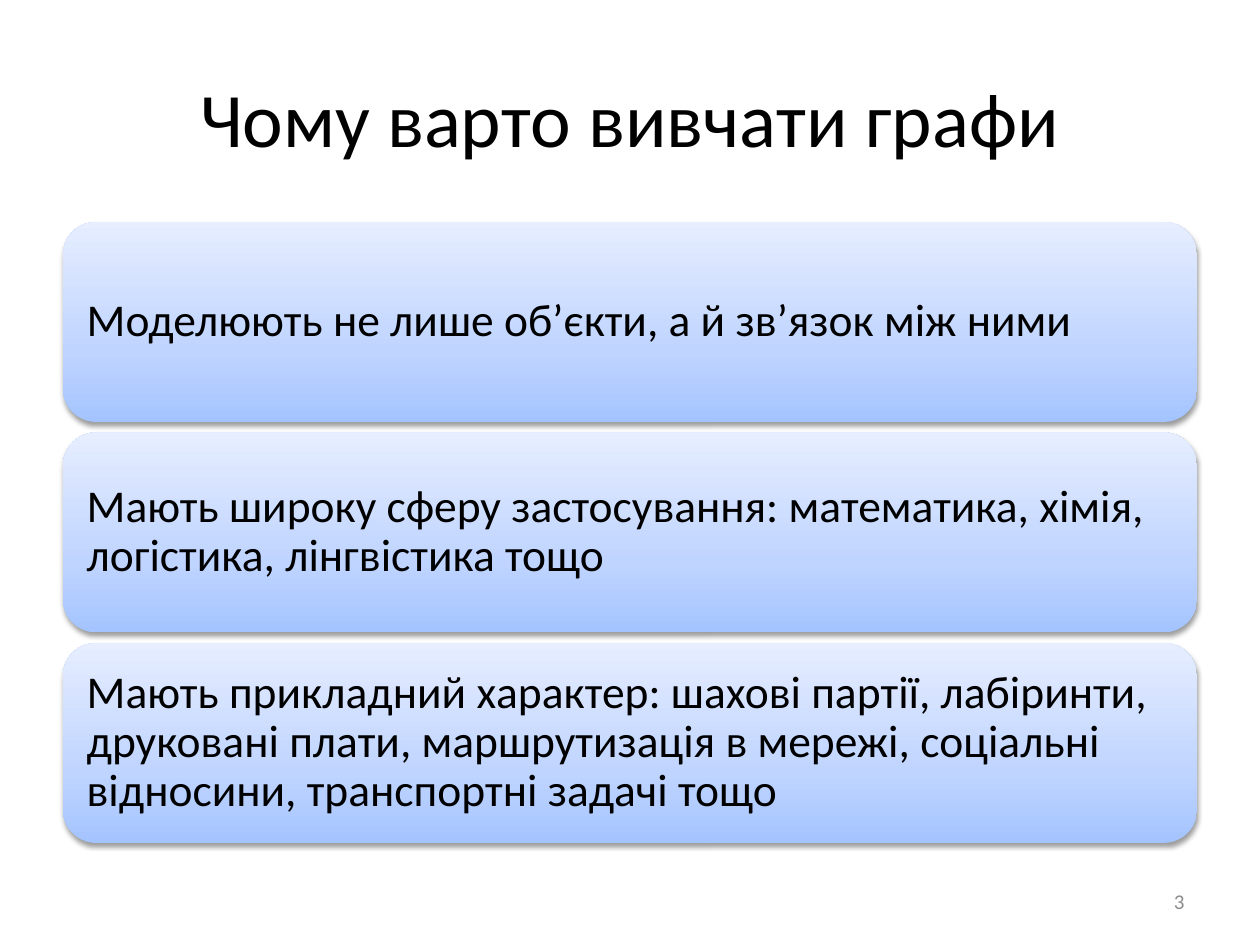
import dataclasses

import lxml.etree
import pptx
import pptx.dml.color
import pptx.enum.shapes
import pptx.enum.text
import pptx.oxml.ns
import pptx.util

ALIGN = pptx.enum.text.PP_ALIGN
EMU_PER_PX = 914400 / 126


@dataclasses.dataclass(frozen=True)
class Theme:
    font: str = "Calibri"
    text: str = "000000"
    muted: str = "8C8C8C"
    shadow: str = "000000"
    card_stops: tuple = ((0, "A4C4FF"), (35, "BFD4FF"), (100, "E6EEFF"))
    title_size: int = 44
    card_size: int = 26
    number_size: int = 12


THEME = Theme()
REASONS = (
    "Моделюють не лише об’єкти, а й зв’язок між ними",
    "Мають широку сферу застосування: математика, хімія, логістика, лінгвістика тощо",
    "Мають прикладний характер: шахові партії, лабіринти, друковані плати, "
    "маршрутизація в мережі, соціальні відносини, транспортні задачі тощо",
)


def px(n):
    return pptx.util.Emu(round(n * EMU_PER_PX))


def add_xml(parent, tag, **attrs):
    return lxml.etree.SubElement(parent, pptx.oxml.ns.qn(tag), attrs)


def write(sp, text, size, color, align):
    tf = sp.text_frame
    tf.word_wrap = True
    tf.vertical_anchor = pptx.enum.text.MSO_ANCHOR.MIDDLE
    p = tf.paragraphs[0]
    p.alignment = align
    r = p.add_run()
    r.text = text
    r.font.name = THEME.font
    r.font.size = pptx.util.Pt(size)
    r.font.color.rgb = pptx.dml.color.RGBColor.from_string(color)


def add_label(s, box, text, size, color, align):
    sp = s.shapes.add_textbox(*map(px, box))
    write(sp, text, size, color, align)


def fill_gradient(sp, stops):
    sp.fill.gradient()
    sp.fill.gradient_angle = 90
    gs_list = sp.element.spPr.find(".//" + pptx.oxml.ns.qn("a:gsLst"))
    for gs in list(gs_list):
        gs_list.remove(gs)
    for pos, color in stops:
        gs = add_xml(gs_list, "a:gs", pos=str(pos * 1000))
        add_xml(gs, "a:srgbClr", val=color)


def add_shadow(sp):
    sp.shadow.inherit = False
    effects = sp.element.spPr.find(pptx.oxml.ns.qn("a:effectLst"))
    shadow = add_xml(effects, "a:outerShdw", blurRad="40000", dist="20000",
                     dir="5400000", rotWithShape="0")
    color = add_xml(shadow, "a:srgbClr", val=THEME.shadow)
    add_xml(color, "a:alpha", val="38000")


def add_card(s, box, text):
    sp = s.shapes.add_shape(
        pptx.enum.shapes.MSO_SHAPE.ROUNDED_RECTANGLE, *map(px, box))
    fill_gradient(sp, THEME.card_stops)
    sp.line.fill.background()
    add_shadow(sp)
    write(sp, text, THEME.card_size, THEME.text, ALIGN.LEFT)
    tf = sp.text_frame
    tf.margin_left = tf.margin_right = px(14)
    tf.margin_top = tf.margin_bottom = px(14)
    tf.paragraphs[0].line_spacing = 0.9


def add_card_stack(s, box, texts, card_height):
    x, y, w, h = box
    step = (h - card_height) / (len(texts) - 1)
    for i, text in enumerate(texts):
        add_card(s, (x, y + i * step, w, card_height), text)


def main():
    prs = pptx.Presentation()
    prs.slide_width, prs.slide_height = px(1260), px(945)
    s = prs.slides.add_slide(prs.slide_layouts[6])
    add_label(s, (63, 38, 1134, 158), "Чому варто вивчати графи",
              THEME.title_size, THEME.text, ALIGN.CENTER)
    add_card_stack(s, (63, 222, 1134, 621), REASONS, 200)
    add_label(s, (903, 876, 294, 50), "3",
              THEME.number_size, THEME.muted, ALIGN.RIGHT)
    prs.save("out.pptx")


if __name__ == "__main__":
    main()
